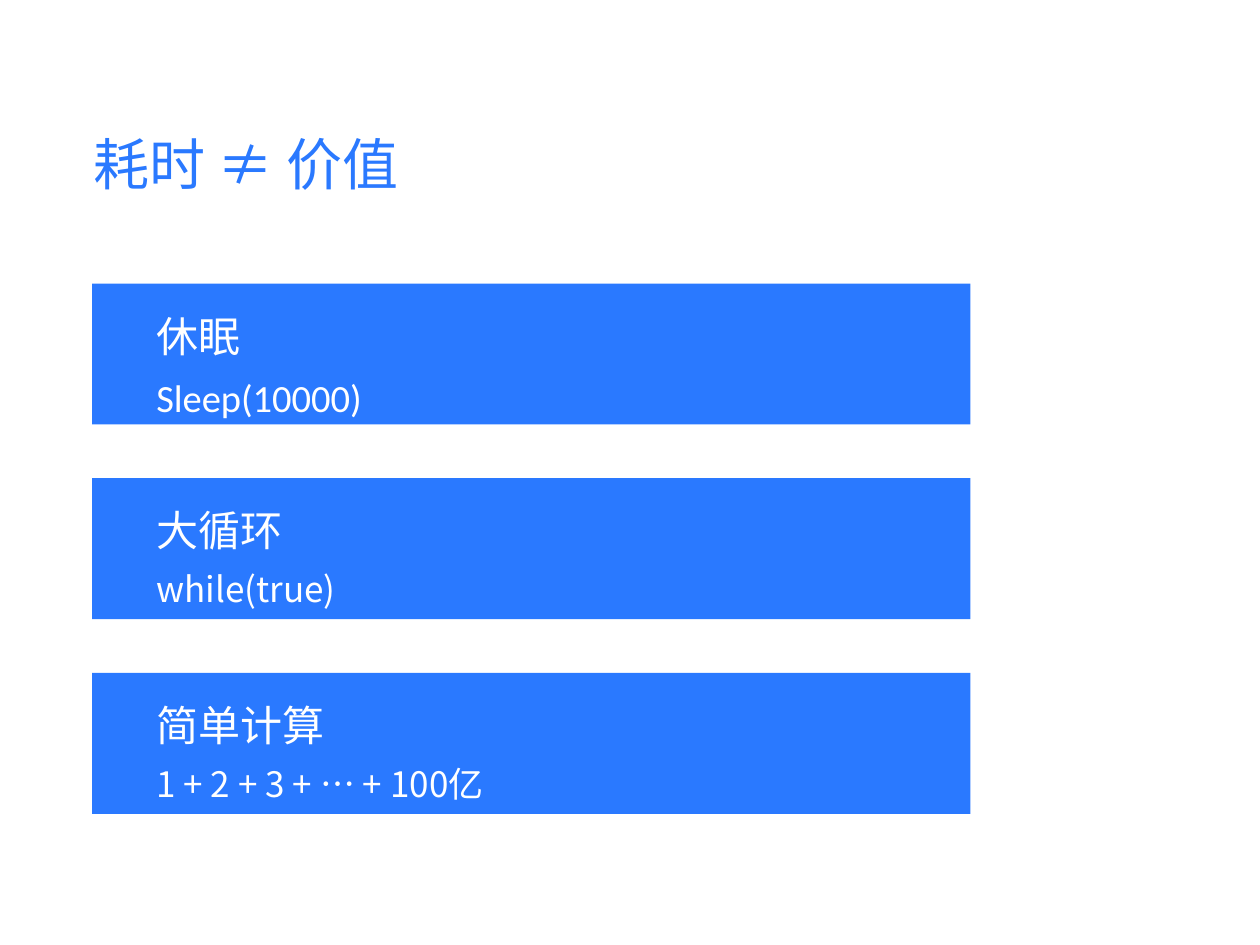
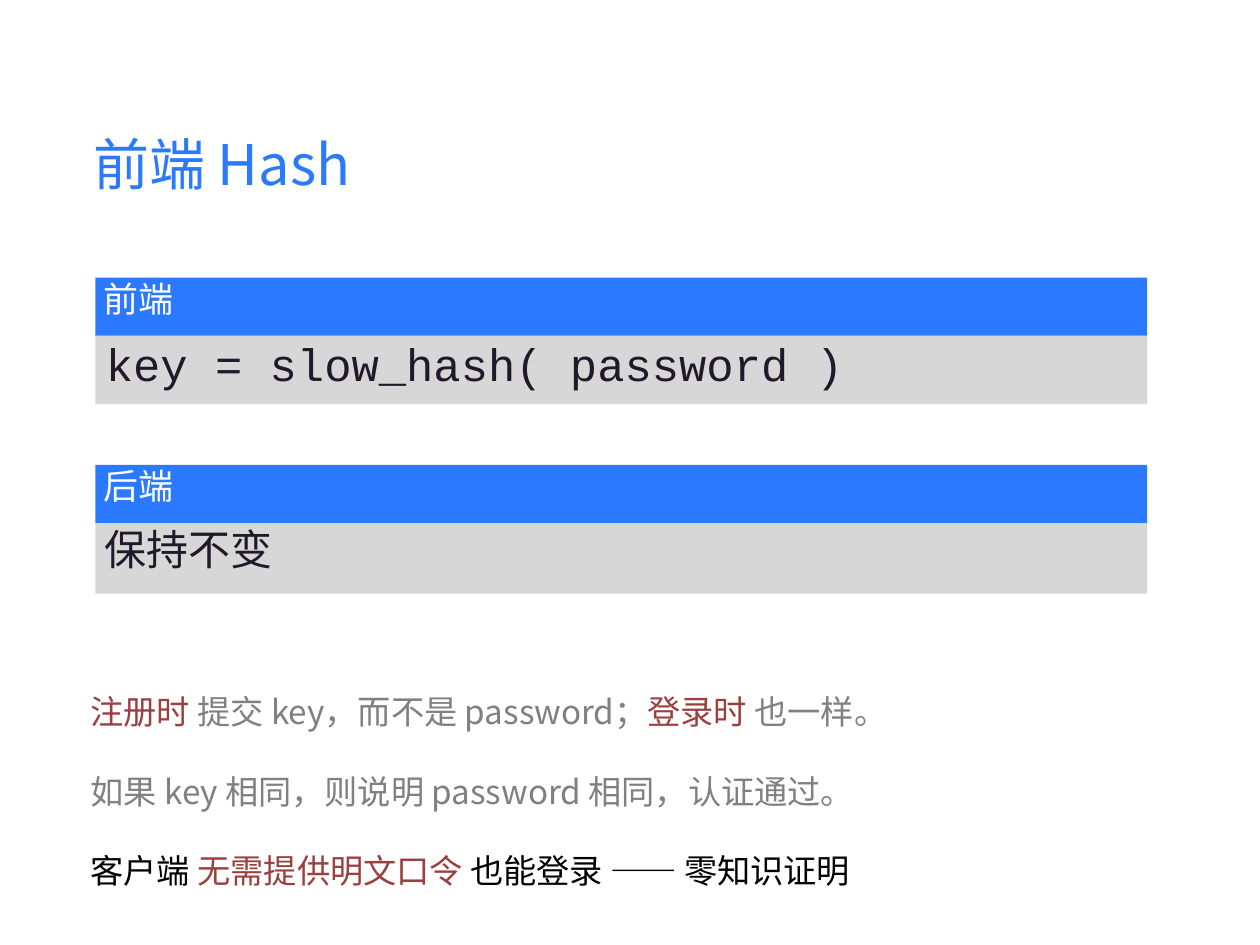
from typing import NamedTuple

from pptx import Presentation
from pptx.dml.color import RGBColor
from pptx.enum import shapes as sh, text as tx
from pptx.oxml import ns, xmlchemy as xc
from pptx.util import Pt

BLUE = RGBColor(0x2A, 0x79, 0xFF)
WHITE = RGBColor(0xFF, 0xFF, 0xFF)
BLACK = RGBColor(0, 0, 0)
PALE = RGBColor(0xD7, 0xD7, 0xD7)
INK = RGBColor(0x20, 0x19, 0x29)
GRAY = RGBColor(0x80, 0x80, 0x80)
RED = RGBColor(0x9A, 0x40, 0x3E)
NOTO, SANS, MONO = "Noto Sans CJK SC", "Calibri", "Courier New"


class Box(NamedTuple):
    left: float
    top: float
    width: float
    height: float


class Run(NamedTuple):
    words: str
    size: float
    color: RGBColor
    font: str = NOTO


class Card(NamedTuple):
    head: str
    code: Run


class Panel(NamedTuple):
    top: float
    height: float
    head: str
    code: Run


Lines = list[list[Run]]


def write(shape, lines: Lines, inset: float = 0, space: float = 1) -> None:
    frame = shape.text_frame
    frame.word_wrap = True
    frame.vertical_anchor = tx.MSO_ANCHOR.TOP
    frame.margin_left = frame.margin_right = Pt(inset)
    frame.margin_top = frame.margin_bottom = Pt(inset)
    for i, line in enumerate(lines):
        para = frame.paragraphs[0] if i == 0 else frame.add_paragraph()
        para.alignment = tx.PP_ALIGN.LEFT
        para.line_spacing = space
        for part in line:
            run = para.add_run()
            run.text = part.words
            run.font.size = Pt(part.size)
            run.font.color.rgb = part.color
            run.font.name = part.font
            east = xc.OxmlElement("a:ea")
            east.set("typeface", part.font)
            run.font._element.find(ns.qn("a:latin")).addnext(east)


def label(slide, box: Box, lines: Lines, inset: float = 3.6,
          space: float = 1) -> None:
    shape = slide.shapes.add_textbox(*map(Pt, box))
    write(shape, lines, inset, space)


def bar(slide, box: Box, fill: RGBColor, line: list[Run] | None = None) -> None:
    shape = slide.shapes.add_shape(sh.MSO_SHAPE.RECTANGLE, *map(Pt, box))
    shape.shadow.inherit = False
    shape.fill.solid()
    shape.fill.fore_color.rgb = fill
    shape.line.fill.background()
    if line:
        write(shape, [line])


def start(deck, title: str):
    slide = deck.slides.add_slide(deck.slide_layouts[6])
    label(slide, Box(49.7, 70.6, 282, 49), [[Run(title, 32, BLUE)]])
    return slide


def costs(deck) -> None:
    slide = start(deck, "耗时 ≠ 价值")
    cards = [
        Card("休眠", Run("Sleep(10000)", 22, WHITE, SANS)),
        Card("大循环", Run("while(true)", 20, WHITE)),
        Card("简单计算", Run("1 + 2 + 3 + … + 100亿", 20, WHITE)),
    ]
    for i, card in enumerate(cards):
        top = 162 + i * 111.25
        bar(slide, Box(52.6, top, 502, 80.6), BLUE)
        label(slide, Box(85.7, top + 3, 447, 74),
              [[Run(card.head, 24, WHITE)], [card.code]], space=1.3)


def hashing(deck) -> None:
    slide = start(deck, "前端 Hash")
    panels = [
        Panel(158.6, 39.2, "前端",
              Run("key = slow_hash( password )", 26, INK, MONO)),
        Panel(265.7, 40.3, "后端", Run("保持不变", 24, INK, MONO)),
    ]
    left, width, head = 54.6, 601, 33.2
    for panel in panels:
        code = panel.code
        bar(slide, Box(left, panel.top + head, width, panel.height), PALE,
            [Run(" ", code.size, BLACK, SANS), code])
        bar(slide, Box(left, panel.top, width, head), BLUE,
            [Run(f" {panel.head}", 20, WHITE)])
    notes = [
        [("注册时 ", RED), ("提交 key，而不是 password；", GRAY),
         ("登录时", RED), (" 也一样。", GRAY)],
        [("如果 key 相同，则说明 password 相同，认证通过。", GRAY)],
        [("客户端 ", BLACK), ("无需提供明文口令 ", RED),
         ("也能登录 —— 零知识证明", BLACK)],
    ]
    label(slide, Box(51.8, 372.2, 606, 132.5),
          [[Run(words, 19, color) for words, color in note] for note in notes],
          inset=0, space=2)


def main() -> None:
    deck = Presentation()
    deck.slide_width, deck.slide_height = Pt(720), Pt(540)
    costs(deck)
    hashing(deck)
    deck.save("out.pptx")


if __name__ == "__main__":
    main()
